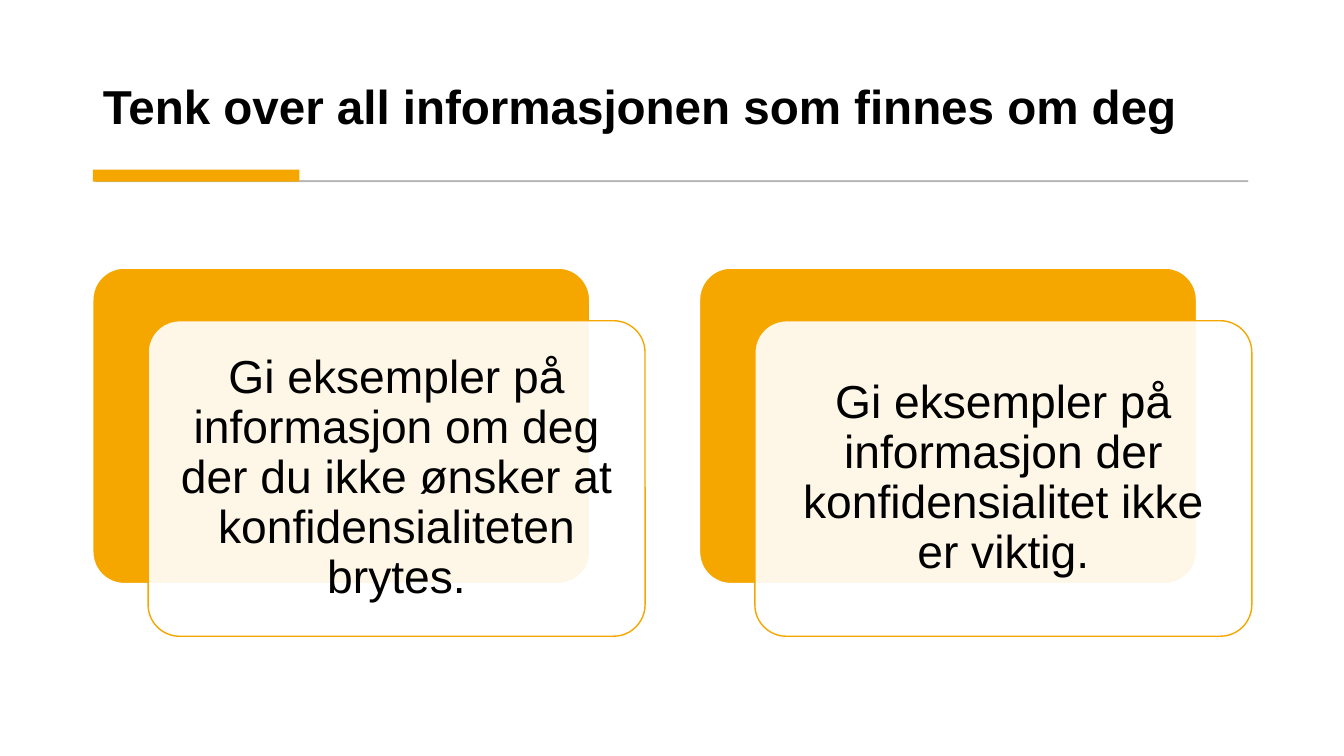
from pptx import Presentation
from pptx import util as u
from pptx.dml.color import RGBColor
from pptx.enum import shapes, text
from pptx.oxml import ns
from lxml import etree

AMBER = RGBColor(0xF5, 0xA7, 0x00)
WHITE = RGBColor(0xFF, 0xFF, 0xFF)
BLACK = RGBColor(0x00, 0x00, 0x00)
GREY = RGBColor(0x59, 0x59, 0x59)

SHAPE = shapes.MSO_SHAPE
ANCHOR = text.MSO_ANCHOR
ALIGN = text.PP_ALIGN

TITLE = "Tenk over all informasjonen som finnes om deg"
TASKS = [
    "Gi eksempler på informasjon om deg der du ikke ønsker at konfidensialiteten brytes.",
    "Gi eksempler på informasjon der konfidensialitet ikke er viktig.",
]

LEFT = 66.3
CARD_TOP = 191.5
CARD_SIZE = (355, 225.4)
CARD_PITCH = 433.4
FRONT_SHIFT = (39.5, 37.6)
TEXT_MARGIN = 6.6


class SlideBuilder:
    font_name = "Arial"
    line_spacing = 0.9

    def __init__(self, slide):
        self.slide = slide

    def fill_text(self, frame, words, size, align, anchor, bold=False, inset=None):
        frame_format = {
            "word_wrap": True,
            "auto_size": text.MSO_AUTO_SIZE.NONE,
            "vertical_anchor": anchor,
        }
        if inset is not None:
            for side in ("left", "top", "right", "bottom"):
                frame_format[f"margin_{side}"] = u.Pt(inset)
        for name, value in frame_format.items():
            setattr(frame, name, value)
        para = frame.paragraphs[0]
        para_format = {"alignment": align, "line_spacing": self.line_spacing}
        for name, value in para_format.items():
            setattr(para, name, value)
        span = para.add_run()
        span.text = words
        font_format = {"name": self.font_name, "size": u.Pt(size), "bold": bold}
        for name, value in font_format.items():
            setattr(span.font, name, value)
        span.font.color.rgb = BLACK

    def title(self, words, left, top, width, height):
        box = self.slide.shapes.title
        place = {"left": left, "top": top, "width": width, "height": height}
        for name, value in place.items():
            setattr(box, name, u.Pt(value))
        self.fill_text(box.text_frame, words, 34, ALIGN.LEFT, ANCHOR.BOTTOM, bold=True)

    def text_box(self, words, left, top, width, height):
        box = self.slide.shapes.add_textbox(*map(u.Pt, (left, top, width, height)))
        self.fill_text(box.text_frame, words, 33, ALIGN.CENTER, ANCHOR.MIDDLE, inset=10)

    def panel(self, kind, left, top, width, height, fill, line=None,
              line_width=1, fill_alpha=100, line_alpha=100):
        box = self.slide.shapes.add_shape(kind, *map(u.Pt, (left, top, width, height)))
        box.shadow.inherit = False
        box.fill.solid()
        box.fill.fore_color.rgb = fill
        if line is None:
            box.line.fill.background()
        else:
            box.line.color.rgb = line
            box.line.width = u.Pt(line_width)
        if kind == SHAPE.ROUNDED_RECTANGLE:
            box.adjustments[0] = 0.1
        self.fade(box, "a:solidFill/a:srgbClr", fill_alpha)
        self.fade(box, "a:ln/a:solidFill/a:srgbClr", line_alpha)

    def fade(self, box, route, percent):
        if percent < 100:
            color = box._element.spPr.find(route, {"a": ns.nsuri("a")})
            etree.SubElement(color, ns.qn("a:alpha"), val=str(percent * 1000))

    def card(self, words, left, top):
        width, height = CARD_SIZE
        front_left, front_top = left + FRONT_SHIFT[0], top + FRONT_SHIFT[1]
        self.panel(SHAPE.ROUNDED_RECTANGLE, left, top, width, height, AMBER, WHITE)
        self.panel(SHAPE.ROUNDED_RECTANGLE, front_left, front_top, width, height,
                   WHITE, AMBER, fill_alpha=90)
        self.text_box(words, front_left + TEXT_MARGIN, front_top + TEXT_MARGIN,
                      width - 2 * TEXT_MARGIN, height - 2 * TEXT_MARGIN)


def main():
    deck = Presentation()
    deck.slide_width, deck.slide_height = u.Pt(960), u.Pt(540)
    page = SlideBuilder(deck.slides.add_slide(deck.slide_layouts.get_by_name("Title Only")))
    page.title(TITLE, LEFT, 20.2, 827.3, 79.9)
    page.panel(SHAPE.RECTANGLE, 68.4, 129, 823, 0.7, GREY, GREY,
               line_width=0.75, fill_alpha=30, line_alpha=30)
    page.panel(SHAPE.RECTANGLE, LEFT, 121.2, 147.6, 8.6, AMBER)
    for index, words in enumerate(TASKS):
        page.card(words, LEFT + index * CARD_PITCH, CARD_TOP)
    deck.save("out.pptx")


if __name__ == "__main__":
    main()
